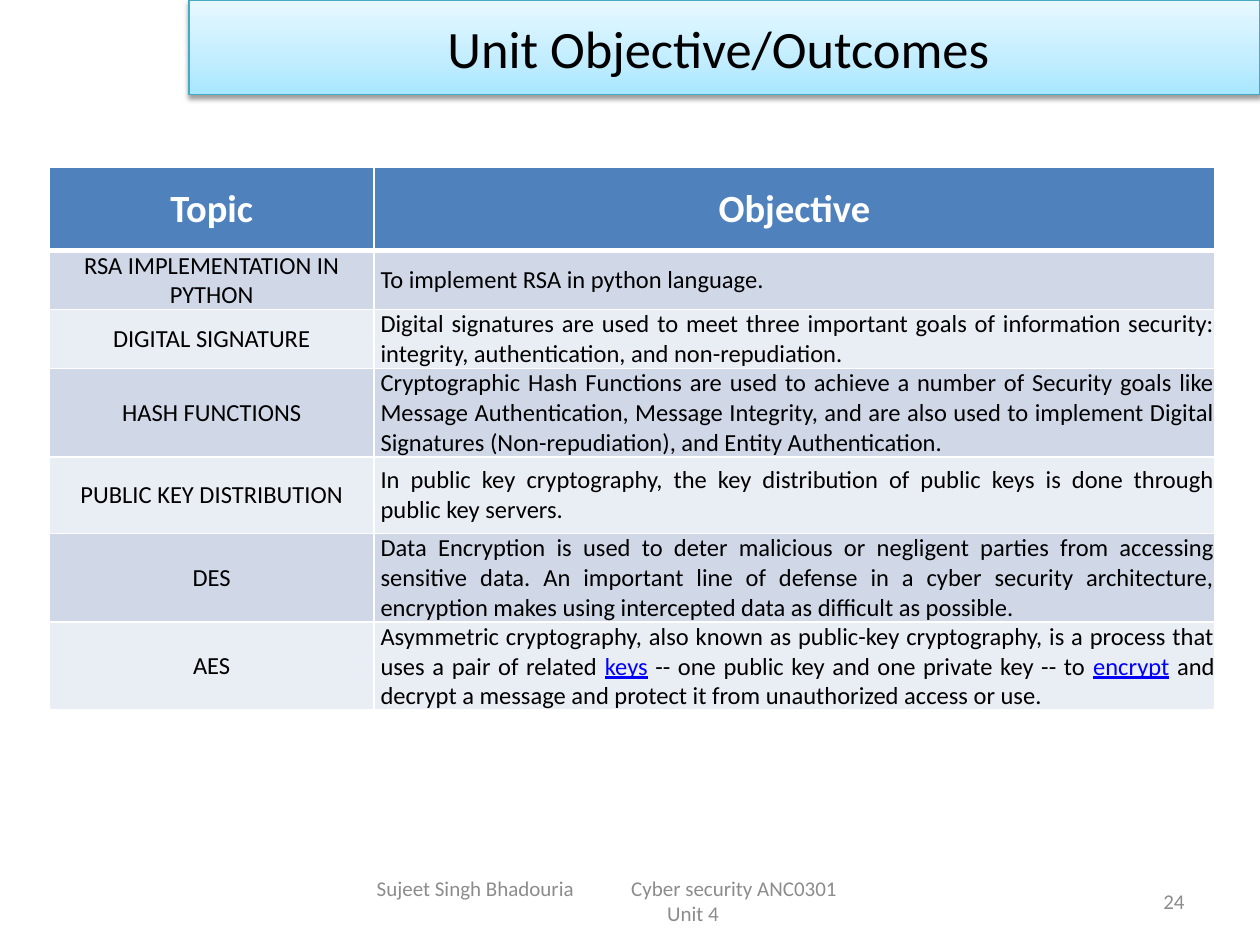
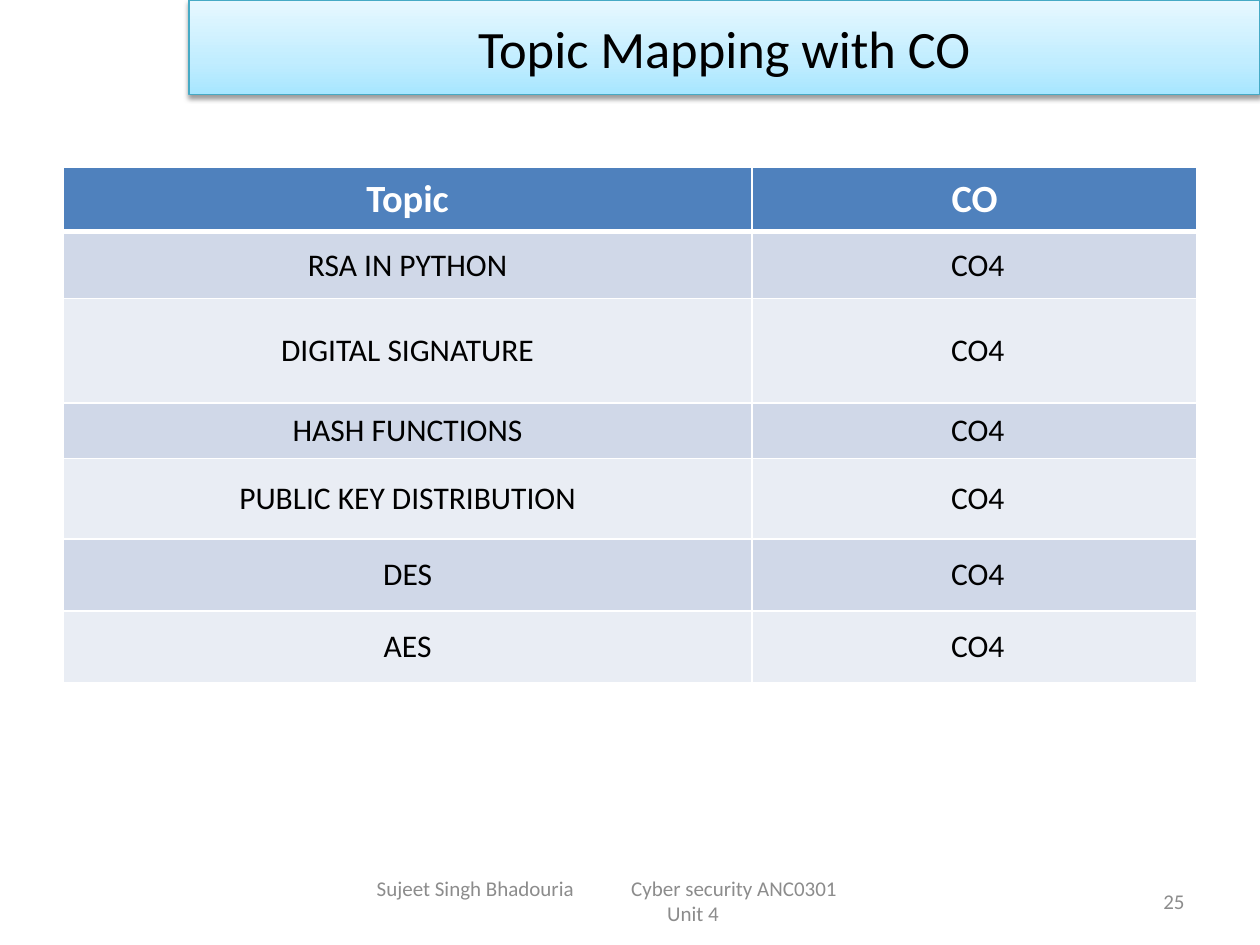
import dataclasses

import lxml.etree
import pptx
import pptx.dml.color
import pptx.enum.shapes
import pptx.enum.text
import pptx.oxml.ns
import pptx.util

Inches = pptx.util.Inches
Pt = pptx.util.Pt
ALIGN = pptx.enum.text.PP_ALIGN
MIDDLE = pptx.enum.text.MSO_ANCHOR.MIDDLE
qn = pptx.oxml.ns.qn


@dataclasses.dataclass(frozen=True)
class Theme:
    font: str = "Calibri"
    text: str = "000000"
    muted: str = "8C8C8C"
    keyword: str = "0000FF"
    rule: str = "FFFFFF"
    header_fill: str = "4F81BD"
    row_fills: tuple = ("D0D8E8", "E9EDF4")
    band_line: str = "46AAC5"
    band_stops: tuple = ((0, "A7E6FF"), (35, "C1EDFF"), (100, "E7F8FF"))
    title_size: int = 30
    header_size: int = 22
    footer_size: int = 12


THEME = Theme()

TOPICS = ("DIGITAL SIGNATURE", "HASH FUNCTIONS", "PUBLIC KEY DISTRIBUTION", "DES", "AES")

# Asterisks enclose the underlined keywords.
OBJECTIVES = (
    "To implement RSA in python language.",
    "Digital signatures are used to meet three important goals of information security: "
    "integrity, authentication, and non-repudiation.",
    "Cryptographic Hash Functions are used to achieve a number of Security goals like "
    "Message Authentication, Message Integrity, and are also used to implement Digital "
    "Signatures (Non-repudiation), and Entity Authentication.",
    "In public key cryptography, the key distribution of public keys is done through "
    "public key servers.",
    "Data Encryption is used to deter malicious or negligent parties from accessing "
    "sensitive data. An important line of defense in a cyber security architecture, "
    "encryption makes using intercepted data as difficult as possible.",
    "Asymmetric cryptography, also known as public-key cryptography, is a process that "
    "uses a pair of related *keys* -- one public key and one private key -- to *encrypt* "
    "and decrypt a message and protect it from unauthorized access or use.",
)


def rgb(value):
    return pptx.dml.color.RGBColor.from_string(value)


def set_format(target, values):
    for name, value in values.items():
        setattr(target, name, value)


def add_child(parent, tag, **attributes):
    return lxml.etree.SubElement(parent, qn(tag), attributes)


def add_color(parent, value):
    return add_child(parent, "a:srgbClr", val=value)


def write(paragraph, text, size, color, align, bold=False):
    """Fill a paragraph, underlining the parts between asterisks."""
    paragraph.alignment = align
    for index, part in enumerate(text.split("*")):
        is_keyword = index % 2 == 1
        run = paragraph.add_run()
        run.text = part
        set_format(run.font, {"name": THEME.font, "size": Pt(size), "bold": bold,
                              "underline": is_keyword})
        run.font.color.rgb = rgb(THEME.keyword if is_keyword else color)


def add_title_band(slide, title):
    band = slide.shapes.add_shape(pptx.enum.shapes.MSO_SHAPE.RECTANGLE,
                                  Inches(1.5), 0, Inches(8.5), Inches(0.75))
    band.line.color.rgb = rgb(THEME.band_line)
    band.line.width = Pt(0.75)
    band.fill.gradient()
    band.fill.gradient_angle = 90
    properties = band.fill._xPr
    stops = properties.find(".//" + qn("a:gsLst"))
    stops.clear()
    for percent, color in THEME.band_stops:
        add_color(add_child(stops, "a:gs", pos=str(percent * 1000)), color)

    band.shadow.inherit = False
    shadow = add_child(properties.find(qn("a:effectLst")), "a:outerShdw",
                       blurRad=str(Pt(3.1)), dist=str(Pt(1.6)), dir="5400000",
                       rotWithShape="0")
    add_child(add_color(shadow, "000000"), "a:alpha", val="38000")

    band.text_frame.vertical_anchor = MIDDLE
    write(band.text_frame.paragraphs[0], title, THEME.title_size, THEME.text, ALIGN.CENTER)


def add_footer_frame(slide, left, width, margin):
    frame = slide.shapes.add_textbox(Inches(left), Inches(6.95),
                                     Inches(width), Inches(0.4)).text_frame
    set_format(frame, {"word_wrap": True, "vertical_anchor": MIDDLE,
                       "margin_left": Inches(margin), "margin_right": Inches(margin)})
    return frame


def add_slide_number(slide, number):
    frame = add_footer_frame(slide, 7.17, 2.33, 0.1)
    write(frame.paragraphs[0], str(number), THEME.footer_size, THEME.muted, ALIGN.RIGHT)


def add_course_footer(slide):
    frame = add_footer_frame(slide, 2.75, 5.5, 0.24)
    author_and_course = frame.paragraphs[0]
    write(author_and_course, "Sujeet Singh Bhadouria\tCyber security ANC0301",
          THEME.footer_size, THEME.muted, ALIGN.LEFT)
    tabs = add_child(author_and_course._p.get_or_add_pPr(), "a:tabLst")
    add_child(tabs, "a:tab", pos=str(Inches(2.02)), algn="l")
    write(frame.add_paragraph(), "Unit 4", THEME.footer_size, THEME.muted, ALIGN.CENTER)


def add_cell_borders(cell, top, bottom):
    """Draw the four edges; top and bottom are widths in points."""
    properties = cell._tc.get_or_add_tcPr()
    for edge, width in (("L", 1), ("R", 1), ("T", top), ("B", bottom)):
        line = add_child(properties, f"a:ln{edge}", w=str(Pt(width)))
        add_color(add_child(line, "a:solidFill"), THEME.rule)


def fill_cell(cell, text, row, column, body_size, body_align):
    is_header = row == 0
    add_cell_borders(cell, top=3 if row == 1 else 1, bottom=3 if is_header else 1)
    cell.fill.solid()
    cell.fill.fore_color.rgb = rgb(
        THEME.header_fill if is_header else THEME.row_fills[(row - 1) % 2])
    indent = 0.05 if column and not is_header else 0
    set_format(cell, {"vertical_anchor": MIDDLE, "margin_left": Inches(indent),
                      "margin_right": 0, "margin_top": 0, "margin_bottom": 0})
    paragraph = cell.text_frame.paragraphs[0]
    if is_header:
        write(paragraph, text, THEME.header_size, THEME.rule, ALIGN.CENTER, bold=True)
    else:
        write(paragraph, text, body_size, THEME.text, body_align)


def add_topic_table(slide, left, widths, heights, rows, body_size, aligns):
    table = slide.shapes.add_table(len(rows), len(widths), Inches(left), Inches(1.33),
                                   Inches(sum(widths)), Inches(sum(heights))).table
    set_format(table, {"first_row": False, "horz_banding": False})
    for column, width in zip(table.columns, widths):
        column.width = Inches(width)
    for row, height in zip(table.rows, heights):
        row.height = Inches(height)
    for row, texts in enumerate(rows):
        for column, text in enumerate(texts):
            fill_cell(table.cell(row, column), text, row, column, body_size, aligns[column])


def add_topic_slide(deck, number, title, **table):
    slide = deck.slides.add_slide(deck.slide_layouts[6])
    add_slide_number(slide, number)
    add_title_band(slide, title)
    add_course_footer(slide)
    add_topic_table(slide, **table)


def main():
    deck = pptx.Presentation()
    set_format(deck, {"slide_width": Inches(10), "slide_height": Inches(7.5)})
    objective_topics = ("RSA IMPLEMENTATION IN PYTHON",) + TOPICS
    outcome_topics = ("RSA IN PYTHON",) + TOPICS
    add_topic_slide(
        deck, 24, "Unit Objective/Outcomes ",
        left=0.39, widths=(2.58, 6.67),
        heights=(0.66, 0.42, 0.42, 0.64, 0.61, 0.64, 0.64),
        rows=[("Topic", "Objective"), *zip(objective_topics, OBJECTIVES)],
        body_size=14, aligns=(ALIGN.CENTER, ALIGN.JUSTIFY))
    add_topic_slide(
        deck, 25, "Topic Mapping with CO",
        left=0.5, widths=(5.47, 3.53),
        heights=(0.51, 0.53, 0.83, 0.44, 0.64, 0.57, 0.57),
        rows=[("Topic", "CO"), *((topic, "CO4") for topic in outcome_topics)],
        body_size=18, aligns=(ALIGN.CENTER, ALIGN.CENTER))
    deck.save("out.pptx")


if __name__ == "__main__":
    main()
